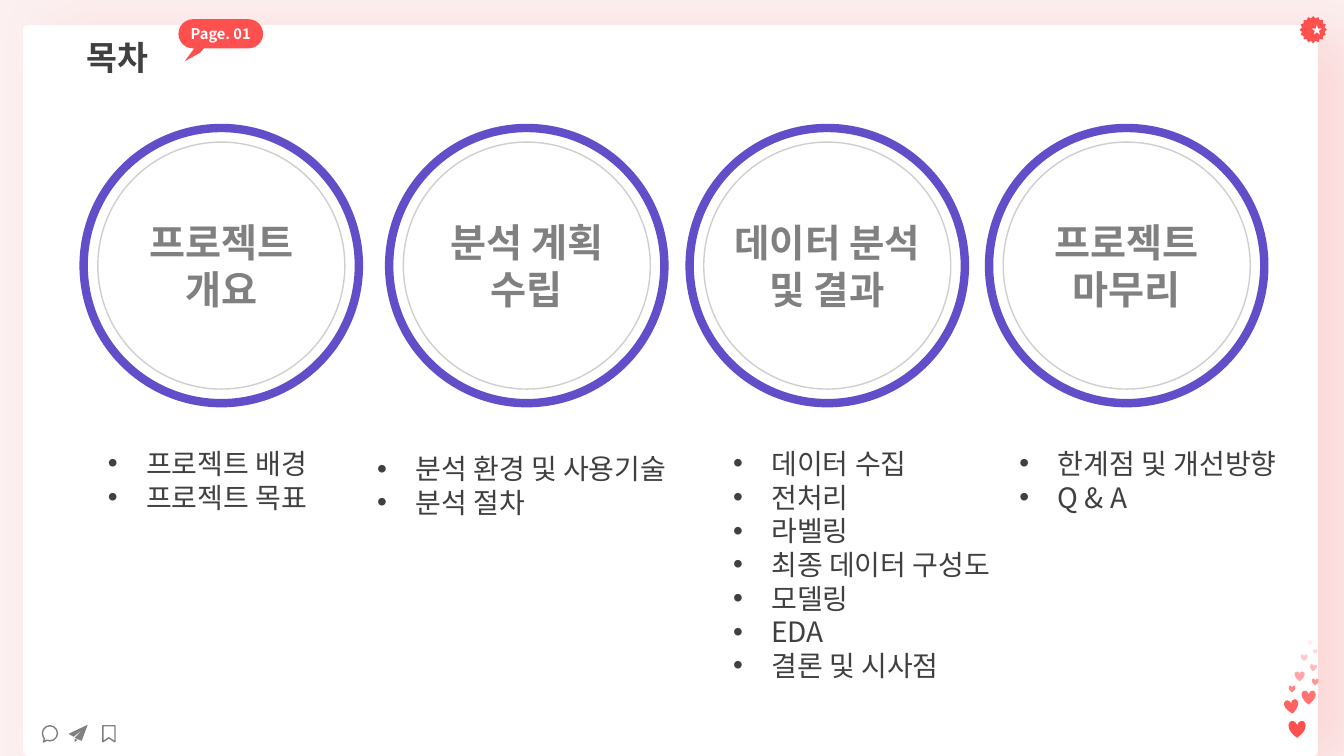
from dataclasses import dataclass
import lxml.etree
import pptx
import pptx.dml.color
import pptx.enum.shapes
import pptx.enum.text
import pptx.oxml.ns
import pptx.util

Inches = pptx.util.Inches
SHAPE = pptx.enum.shapes.MSO_SHAPE
ALIGN = pptx.enum.text.PP_ALIGN
ANCHOR = pptx.enum.text.MSO_ANCHOR


@dataclass(frozen=True)
class Theme:
    """Colours, font and type sizes of the deck."""
    font: str = "Noto Sans CJK KR"
    backdrop: str = "FCF0F0"
    panel: str = "FFFFFF"
    glow: str = "FFBBBC"
    accent: str = "FF5050"
    ring: str = "614EC8"
    hairline: str = "CFCFCF"
    dark: str = "404040"
    grey: str = "808080"
    title: float = 24
    heading: float = 28
    wide_heading: float = 27.5
    item: float = 20
    badge: float = 10.5
    star: float = 8


@dataclass(frozen=True)
class Box:
    """A rectangle in inches."""
    left: float
    top: float
    width: float
    height: float

    def inside(self, left, top, width, height):
        """Return a box measured from this box's corner."""
        return Box(self.left + left, self.top + top, width, height)

    def lengths(self):
        """Return left, top, width and height as lengths."""
        return [Inches(value) for value in (self.left, self.top, self.width, self.height)]


THEME = Theme()
COLUMNS = [
    (0.83, Box(0.97, 4.38, 2.21, 0.77), ["프로젝트", "개요"], THEME.heading,
     ["프로젝트 배경", "프로젝트 목표"]),
    (3.86, Box(3.64, 4.43, 3.16, 0.77), ["분석 계획", "수립"], THEME.heading,
     ["분석 환경 및 사용기술", "분석 절차"]),
    (6.84, Box(7.17, 4.38, 2.82, 2.46), ["데이터 분석", "및 결과"], THEME.wide_heading,
     ["데이터 수집", "전처리", "라벨링", "최종 데이터 구성도", "모델링", "EDA", "결론 및 시사점"]),
    (9.81, Box(10.01, 4.38, 2.82, 0.77), ["프로젝트", "마무리"], THEME.heading,
     ["한계점 및 개선방향", "Q & A"]),
]
HEARTS = [
    (0.04, 0.80, 0.17, 0, 100), (0, 0.59, 0.14, -8.7, 90), (0.17, 0.50, 0.14, 0, 80),
    (0.04, 0.45, 0.07, 0, 70), (0.27, 0.38, 0.07, 0, 60), (0.10, 0.31, 0.10, 0, 50),
    (0.25, 0.24, 0.07, 11.5, 40), (0.16, 0.14, 0.07, 0, 30), (0.28, 0.09, 0.05, 0, 20),
    (0.23, 0, 0.05, 0, 10),
]


def add_element(parent, tag, **values):
    """Append a drawing element with the given attributes."""
    return lxml.etree.SubElement(parent, pptx.oxml.ns.qn(tag), values)


def rgb(colour):
    """Turn a hex string into a colour."""
    return pptx.dml.color.RGBColor.from_string(colour)


def paint(shape, fill=None, line=None, weight=1):
    """Set fill and outline, and remove the inherited shadow."""
    shape.shadow.inherit = False
    if fill:
        shape.fill.solid()
        shape.fill.fore_color.rgb = rgb(fill)
    else:
        shape.fill.background()
    if line:
        shape.line.color.rgb = rgb(line)
        shape.line.width = pptx.util.Pt(weight)
    else:
        shape.line.fill.background()


def draw(page, kind, box, **style):
    """Add a painted preset shape."""
    shape = page.shapes.add_shape(kind, *box.lengths())
    paint(shape, **style)
    return shape


def outline(page, box, contours, **style):
    """Add a freeform whose points are hundredths of an inch from the box corner."""
    builder = page.shapes.build_freeform(*contours[0][0], scale=Inches(0.01))
    builder.add_line_segments(contours[0][1:], close=True)
    for contour in contours[1:]:
        builder.move_to(*contour[0])
        builder.add_line_segments(contour[1:], close=True)
    shape = builder.convert_to_shape(*box.lengths()[:2])
    paint(shape, **style)


def write(shape, lines, size, colour, bold=True, align=ALIGN.CENTER,
          anchor=ANCHOR.MIDDLE, wrap=True, indent=0, bullet=False):
    """Write one paragraph for each line of text."""
    frame = shape.text_frame
    frame.auto_size = pptx.enum.text.MSO_AUTO_SIZE.NONE
    frame.word_wrap = wrap
    frame.vertical_anchor = anchor
    for index, line in enumerate(lines):
        para = frame.add_paragraph() if index else frame.paragraphs[0]
        properties = para._p.get_or_add_pPr()
        properties.set("marL", str(Inches(indent)))
        properties.set("indent", str(-Inches(indent) if bullet else 0))
        if bullet:
            add_element(properties, "a:buFont", typeface="Arial")
            add_element(properties, "a:buChar", char="•")
        layout = {"alignment": align, "line_spacing": 1.0,
                  "space_before": pptx.util.Pt(0), "space_after": pptx.util.Pt(0)}
        for name, value in layout.items():
            setattr(para, name, value)
        span = para.add_run()
        span.text = line
        looks = {"name": THEME.font, "size": pptx.util.Pt(size), "bold": bold}
        for name, value in looks.items():
            setattr(span.font, name, value)
        span.font.color.rgb = rgb(colour)
        add_element(span._r.get_or_add_rPr(), "a:ea", typeface=THEME.font)


def place(page, holder, box):
    """Move a placeholder into a box, in front of what is drawn."""
    holder.left, holder.top, holder.width, holder.height = box.lengths()
    page.shapes._spTree.append(holder._element)


def add_panel(page, box):
    """Draw the white panel with its soft glow, and the star at its corner."""
    panel = draw(page, SHAPE.RECTANGLE, box, fill=THEME.panel, line=THEME.panel, weight=6.25)
    effects = panel._element.spPr.find(pptx.oxml.ns.qn("a:effectLst"))
    shadow = add_element(effects, "a:outerShdw", blurRad=str(pptx.util.Pt(40)),
                         dist=str(pptx.util.Pt(24)), dir="900000", algn="ctr", rotWithShape="0")
    colour = add_element(shadow, "a:srgbClr", val=THEME.glow)
    add_element(colour, "a:alpha", val="45000")
    star = draw(page, SHAPE.STAR_16_POINT, box.inside(12.62, -0.13, 0.27, 0.27), fill=THEME.accent)
    star.adjustments[0] = 0.422
    write(star, ["★"], THEME.star, THEME.panel)


def add_header(page, box):
    """Place the title and the page bubble."""
    place(page, page.shapes.title, box)
    page.shapes.title.text_frame.margin_top = Inches(0.08)
    write(page.shapes.title, ["목차"], THEME.title, THEME.dark,
          align=ALIGN.LEFT, anchor=ANCHOR.TOP, indent=0.49)
    tail = [(32, 0), (15, 0), (15, 2), (13, 14), (4, 26), (20, 17), (30, 4)]
    outline(page, box.inside(1.52, 0.06, 0.35, 0.26), [tail], fill=THEME.accent)
    bubble = draw(page, SHAPE.ROUNDED_RECTANGLE, box.inside(1.5, -0.1, 0.84, 0.29),
                  fill=THEME.accent)
    bubble.adjustments[0] = 0.5
    write(bubble, ["Page. 01"], THEME.badge, THEME.panel, wrap=False)


def add_column(page, box, holder, list_box, heading, size, items):
    """Draw a double ring with its heading, and the list below it."""
    draw(page, SHAPE.OVAL, box, line=THEME.ring, weight=6)
    inner = draw(page, SHAPE.OVAL, box.inside(0.14, 0.14, 2.45, 2.45), line=THEME.hairline)
    write(inner, heading, size, THEME.grey, wrap=size == THEME.heading)
    place(page, holder, list_box)
    write(holder, items, THEME.item, THEME.dark, bold=False, align=ALIGN.LEFT,
          anchor=ANCHOR.TOP, wrap=False, indent=0.38, bullet=True)


def add_icons(page, box):
    """Draw the speech, send and bookmark icons."""
    speech = draw(page, SHAPE.OVAL_CALLOUT, box.inside(0, 0.01, 0.15, 0.15), line=THEME.grey)
    speech.adjustments[0], speech.adjustments[1] = -0.419, 0.579
    plane = [[(19, 0), (13, 16), (6, 13), (15, 4), (5, 12), (0, 9)], [(6, 14), (9, 15), (6, 17)]]
    outline(page, box.inside(0.26, 0, 0.19, 0.17), plane, fill=THEME.grey)
    bookmark = [[(0, 0), (12, 0), (12, 16), (6, 12), (0, 16)]]
    outline(page, box.inside(0.6, 0.01, 0.12, 0.16), bookmark, line=THEME.grey)


def add_hearts(page, box):
    """Draw the hearts that fade as they rise."""
    for left, top, size, turn, opacity in HEARTS:
        heart = draw(page, SHAPE.HEART, box.inside(left, top, size, size), fill=THEME.accent)
        heart.rotation = turn
        colour = heart._element.spPr.find(".//" + pptx.oxml.ns.qn("a:srgbClr"))
        add_element(colour, "a:alpha", val=str(opacity * 1000))


def main():
    """Build the contents page and save the deck."""
    deck = pptx.Presentation()
    deck.slide_width, deck.slide_height = Inches(13.33), Inches(7.5)
    page = deck.slides.add_slide(deck.slide_layouts[4])
    page.background.fill.solid()
    page.background.fill.fore_color.rgb = rgb(THEME.backdrop)
    holders = list(page.placeholders)[1:]
    add_panel(page, Box(0.27, 0.29, 12.76, 7.17))
    add_header(page, Box(0.27, 0.29, 1.5, 0.6))
    for holder, (left, *content) in zip(holders, COLUMNS):
        add_column(page, Box(left, 1.27, 2.73, 2.73), holder, *content)
    add_icons(page, Box(0.42, 7.19, 0.72, 0.17))
    add_hearts(page, Box(12.74, 6.35, 0.34, 0.97))
    deck.save("out.pptx")


if __name__ == "__main__":
    main()
